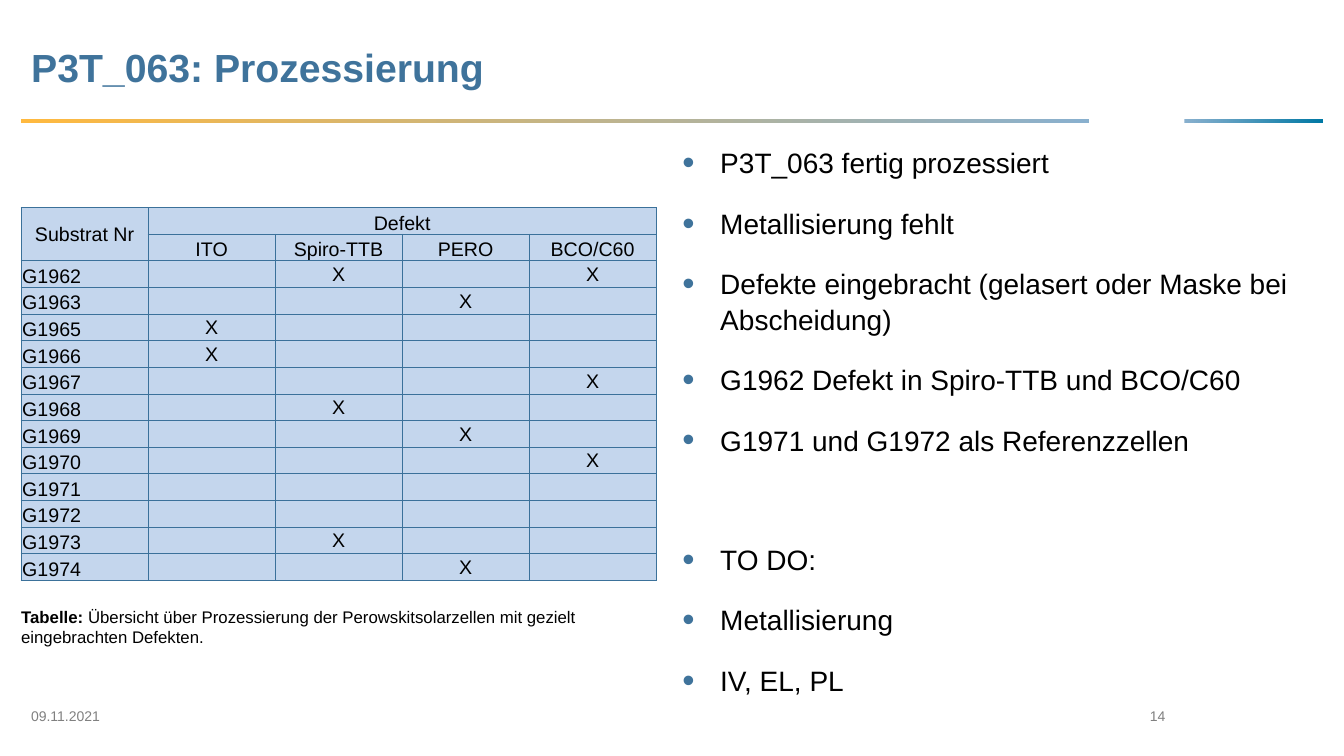
from dataclasses import dataclass

from lxml import etree
from pptx import Presentation
from pptx.dml.color import RGBColor
from pptx.enum import shapes, text
from pptx.oxml import ns
from pptx.util import Pt


@dataclass(frozen=True)
class Theme:
    font: str = "Arial"
    accent: str = "3F739B"
    ink: str = "000000"
    muted: str = "808080"
    cell: str = "C4D6ED"
    border: str = "3B719A"
    amber: str = "FFB93F"
    sky: str = "89B0CE"
    ocean: str = "0078A4"
    title_size: int = 28
    body_size: int = 20
    table_size: int = 14
    caption_size: int = 12
    footer_size: int = 10


THEME = Theme()
LEFT = 15.12
CONTENT_WIDTH = 453.6
BULLET_INDENT = 27
LAYERS = ["ITO", "Spiro-TTB", "PERO", "BCO/C60"]
DEFECTS = {
    "G1962": ["Spiro-TTB", "BCO/C60"],
    "G1963": ["PERO"],
    "G1965": ["ITO"],
    "G1966": ["ITO"],
    "G1967": ["BCO/C60"],
    "G1968": ["Spiro-TTB"],
    "G1969": ["PERO"],
    "G1970": ["BCO/C60"],
    "G1971": [],
    "G1972": [],
    "G1973": ["Spiro-TTB"],
    "G1974": ["PERO"],
}
STATUS = [
    "P3T_063 fertig prozessiert",
    "Metallisierung fehlt",
    "Defekte eingebracht (gelasert oder Maske bei Abscheidung)",
    "G1962 Defekt in Spiro-TTB und BCO/C60",
    "G1971 und G1972 als Referenzzellen",
]
TODO = ["TO DO:", "Metallisierung", "IV, EL, PL"]


def add_xml(parent, tag, **attributes):
    return etree.SubElement(parent, ns.qn(tag), attributes)


def style(paragraph, size, color, bold=None, align=text.PP_ALIGN.LEFT):
    paragraph.alignment = align
    font = paragraph.font
    font.name, font.size, font.bold = THEME.font, Pt(size), bold
    font.color.rgb = RGBColor.from_string(color)


def place(shape, left, top, width, height):
    shape.left, shape.top = Pt(left), Pt(top)
    shape.width, shape.height = Pt(width), Pt(height)


def add_rule(slide, left, width, start, end):
    rule = slide.shapes.add_shape(
        shapes.MSO_SHAPE.RECTANGLE, Pt(left), Pt(84.96), Pt(width), Pt(2.88))
    rule.shadow.inherit = False
    rule.line.fill.background()
    rule.fill.gradient()
    rule.fill.gradient_angle = 0
    for stop, color in zip(rule.fill.gradient_stops, (start, end)):
        stop.color.rgb = RGBColor.from_string(color)


def fill_title(title, wording):
    place(title, LEFT, 14.4, 751, 66.24)
    frame = title.text_frame
    frame.text = wording
    frame.vertical_anchor = text.MSO_ANCHOR.MIDDLE
    style(frame.paragraphs[0], THEME.title_size, THEME.accent, bold=True)


def format_bullet(paragraph):
    paragraph.space_before, paragraph.space_after = Pt(0), Pt(18)
    paragraph.line_spacing = 1.05
    properties = paragraph._p.get_or_add_pPr()
    properties.set("marL", str(Pt(BULLET_INDENT)))
    properties.set("indent", str(-Pt(BULLET_INDENT)))
    add_xml(add_xml(properties, "a:buClr"), "a:srgbClr", val=THEME.accent)
    add_xml(properties, "a:buSzPct", val="125000")
    add_xml(properties, "a:buFont", typeface=THEME.font)
    add_xml(properties, "a:buChar", char="•")
    style(paragraph, THEME.body_size, THEME.ink)


def fill_list(body):
    place(body, 480.24, 99.36, 465.12, 382.32)
    frame = body.text_frame
    frame.text = "\n".join(STATUS + TODO)
    frame.auto_size = text.MSO_AUTO_SIZE.NONE
    for paragraph in frame.paragraphs:
        format_bullet(paragraph)
    frame.paragraphs[len(STATUS)].space_before = Pt(42)


def add_footer(slide, wording, left, width, align):
    footer = slide.shapes.add_textbox(Pt(left), Pt(497.52), Pt(width), Pt(28.08))
    frame = footer.text_frame
    frame.word_wrap = True
    frame.vertical_anchor = text.MSO_ANCHOR.MIDDLE
    frame.text = wording
    style(frame.paragraphs[0], THEME.footer_size, THEME.muted, align=align)


def format_cell(cell, wording, align, anchor):
    cell.margin_left = cell.margin_right = cell.margin_top = Pt(0.72)
    cell.margin_bottom = Pt(0)
    cell.vertical_anchor = anchor
    cell.text = wording
    paragraph = cell.text_frame.paragraphs[0]
    style(paragraph, THEME.table_size, THEME.ink, bold=False, align=align)
    if not wording:
        add_xml(paragraph._p, "a:endParaRPr", sz=str(THEME.table_size * 100))
    properties = cell._tc.get_or_add_tcPr()
    for side in ("a:lnL", "a:lnR", "a:lnT", "a:lnB"):
        border = add_xml(properties, side, w=str(Pt(0.75)))
        add_xml(add_xml(border, "a:solidFill"), "a:srgbClr", val=THEME.border)
    cell.fill.solid()
    cell.fill.fore_color.rgb = RGBColor.from_string(THEME.cell)


def add_defect_table(slide):
    rows = [["Substrat Nr", "Defekt", "", "", ""], ["", *LAYERS]]
    for substrate, defects in DEFECTS.items():
        rows.append([substrate, *("X" if layer in defects else "" for layer in LAYERS)])
    table = slide.shapes.add_table(
        len(rows), len(rows[0]), Pt(LEFT), Pt(148.32), Pt(CONTENT_WIDTH), Pt(266.4)).table
    table.first_row = table.horz_banding = False
    for column in table.columns:
        column.width = Pt(CONTENT_WIDTH / len(rows[0]))
    for row_index, wordings in enumerate(rows):
        table.rows[row_index].height = Pt(266.4 / len(rows))
        for column_index, wording in enumerate(wordings):
            header = row_index < 2
            substrate = column_index == 0
            centred = header or not substrate
            format_cell(
                table.cell(row_index, column_index), wording,
                text.PP_ALIGN.CENTER if centred else text.PP_ALIGN.LEFT,
                text.MSO_ANCHOR.MIDDLE if header == substrate else text.MSO_ANCHOR.BOTTOM)
    table.cell(0, 0).merge(table.cell(1, 0))
    table.cell(0, 1).merge(table.cell(0, len(LAYERS)))


def add_caption(slide, label, wording):
    caption = slide.shapes.add_textbox(Pt(LEFT), Pt(433.44), Pt(CONTENT_WIDTH), Pt(28.8))
    frame = caption.text_frame
    frame.word_wrap = True
    frame.margin_left = frame.margin_right = frame.margin_top = frame.margin_bottom = Pt(0)
    paragraph = frame.paragraphs[0]
    for part, bold in ((label, True), (wording, False)):
        run = paragraph.add_run()
        run.text, run.font.bold = part, bold
    style(paragraph, THEME.caption_size, THEME.ink)


def main():
    presentation = Presentation()
    presentation.slide_width, presentation.slide_height = Pt(960), Pt(540)
    slide = presentation.slides.add_slide(presentation.slide_layouts[1])
    add_rule(slide, LEFT, 762.48, THEME.amber, THEME.sky)
    add_rule(slide, 846, 99.36, THEME.sky, THEME.ocean)
    fill_title(slide.shapes.title, "P3T_063: Prozessierung")
    fill_list(slide.placeholders[1])
    add_defect_table(slide)
    add_caption(slide, "Tabelle: ", "Übersicht über Prozessierung der Perowskitsolarzellen "
                "mit gezielt eingebrachten Defekten.")
    add_footer(slide, "09.11.2021", LEFT, 77.76, text.PP_ALIGN.LEFT)
    add_footer(slide, "14", 782.64, 56.88, text.PP_ALIGN.RIGHT)
    presentation.save("out.pptx")


if __name__ == "__main__":
    main()
